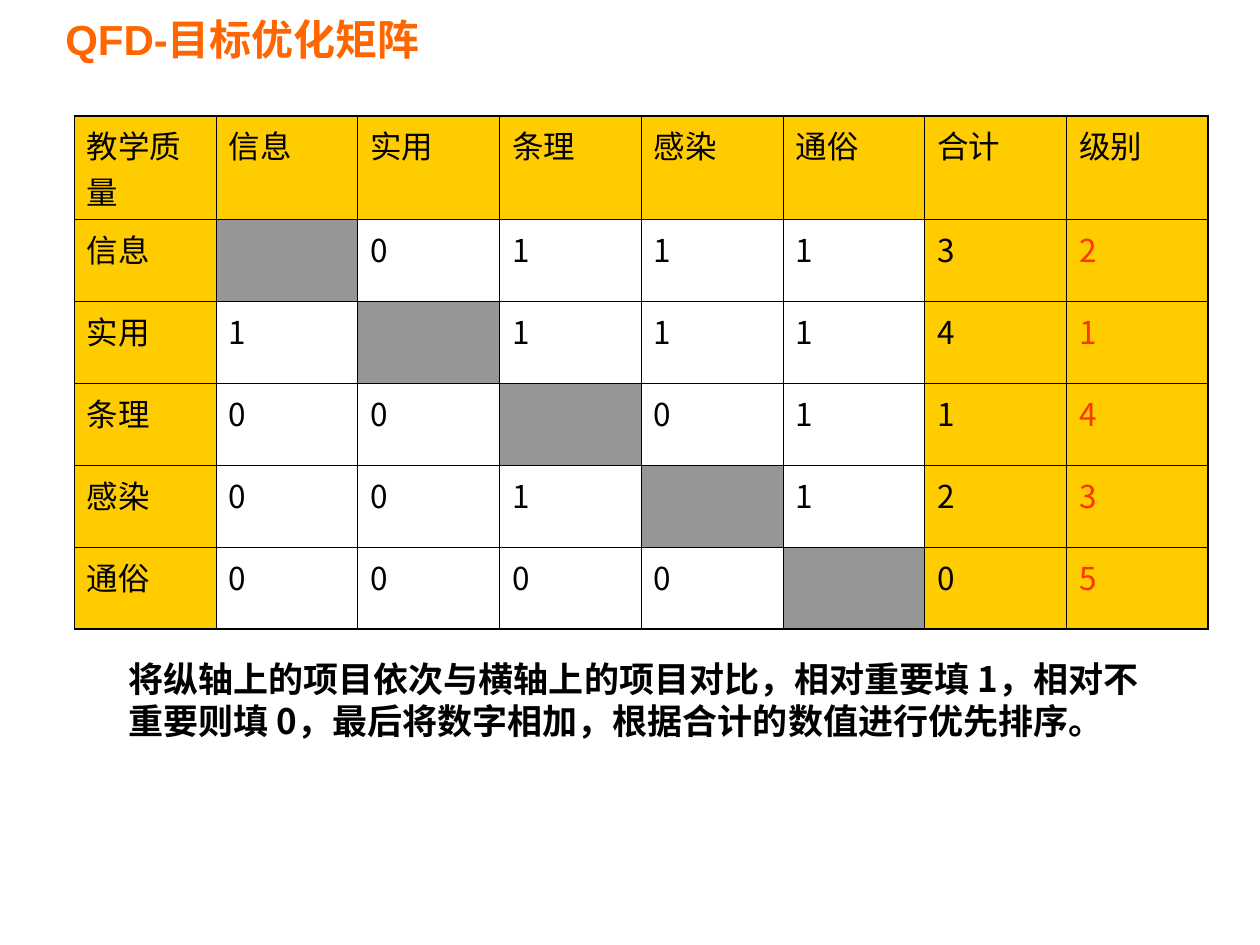
from lxml import etree
from pptx import Presentation
from pptx.dml.color import RGBColor
from pptx.enum import text as t
from pptx.oxml.ns import qn
from pptx.util import Inches, Pt

TITLE = "QFD-目标优化矩阵"
CORNER = "教学质量"
CRITERIA = ["信息", "实用", "条理", "感染", "通俗"]
SUMMARY = ["合计", "级别"]
SCORES = [  # one row per criterion; None is the diagonal
    [None, 0, 1, 1, 1],
    [1, None, 1, 1, 1],
    [0, 0, None, 0, 1],
    [0, 0, 1, None, 1],
    [0, 0, 0, 0, None],
]
RANKS = [2, 1, 4, 3, 5]
NOTE = ("将纵轴上的项目依次与横轴上的项目对比，相对重要填 1，"
        "相对不重要则填 0，最后将数字相加，根据合计的数值进行优先排序。")

CJK = "Noto Sans CJK SC"
BLACK, WHITE, GOLD, GREY = "000000", "FFFFFF", "FFCC00", "969696"
ORANGE, RED = "FF6600", "FF3300"
THIN, THICK = 0.45, 1.08


def color(value):
    return RGBColor.from_string(value)


def add_run(paragraph, wording, size, fill, latin=CJK, bold=False):
    run = paragraph.add_run()
    run.text = wording
    font = run.font
    font.size, font.bold, font.name = Pt(size), bold, latin
    font.color.rgb = color(fill)
    east_asian = etree.Element(qn("a:ea"), typeface=CJK)
    run._r.rPr.find(qn("a:latin")).addnext(east_asian)


def add_text_box(slide, left, top, width, height):
    frame = slide.shapes.add_textbox(
        Inches(left), Inches(top), Inches(width), Inches(height)).text_frame
    frame.word_wrap = True
    return frame


def set_borders(cell, widths):
    """Draw black lines on the sides; the lines must precede the fill."""
    properties = cell._tc.get_or_add_tcPr()
    for index, (side, width) in enumerate(widths.items()):
        line = etree.Element(qn(f"a:ln{side}"), w=str(Pt(width)))
        fill = etree.SubElement(line, qn("a:solidFill"))
        etree.SubElement(fill, qn("a:srgbClr"), val=BLACK)
        properties.insert(index, line)


def add_matrix(slide):
    rows = [[CORNER] + CRITERIA + SUMMARY]
    for name, scores, rank in zip(CRITERIA, SCORES, RANKS):
        total = sum(score or 0 for score in scores)
        rows.append([name] + scores + [total, rank])
    last_row, last_column = len(rows) - 1, len(rows[0]) - 1

    table = slide.shapes.add_table(
        len(rows), len(rows[0]), Inches(0.59), Inches(0.92),
        Inches(9), Inches(3.94)).table
    table.first_row = table.horz_banding = False
    for column in table.columns:
        column.width = Inches(9 / len(rows[0]))
    for r, row in enumerate(table.rows):
        row.height = Inches(0.65 if r else 0.7)

    for r, values in enumerate(rows):
        for c, value in enumerate(values):
            cell = table.cell(r, c)
            is_score = r > 0 and 0 < c <= len(CRITERIA)
            fill = GOLD if not is_score else GREY if value is None else WHITE
            cell.fill.solid()
            cell.fill.fore_color.rgb = color(fill)
            set_borders(cell, {
                "L": THIN if c else THICK,
                "R": THICK if c == last_column else THIN,
                "T": THIN if r else THICK,
                "B": THICK if r == last_row else THIN,
            })
            if value is not None:
                is_rank = r > 0 and c == last_column
                add_run(cell.text_frame.paragraphs[0], str(value), 18,
                        RED if is_rank else BLACK)


def main():
    presentation = Presentation()
    presentation.slide_width = Inches(10)
    presentation.slide_height = Inches(7.5)
    slide = presentation.slides.add_slide(presentation.slide_layouts[6])

    add_matrix(slide)

    title = add_text_box(slide, 0.42, 0, 4.58, 0.62)
    title.vertical_anchor = t.MSO_ANCHOR.MIDDLE
    add_run(title.paragraphs[0], TITLE, 24, ORANGE, latin="Arial", bold=True)

    note = add_text_box(slide, 0.92, 5.17, 8.42, 0.77)
    note.paragraphs[0].line_spacing = Pt(24)
    add_run(note.paragraphs[0], NOTE, 20, BLACK, bold=True)

    presentation.save("out.pptx")


if __name__ == "__main__":
    main()
